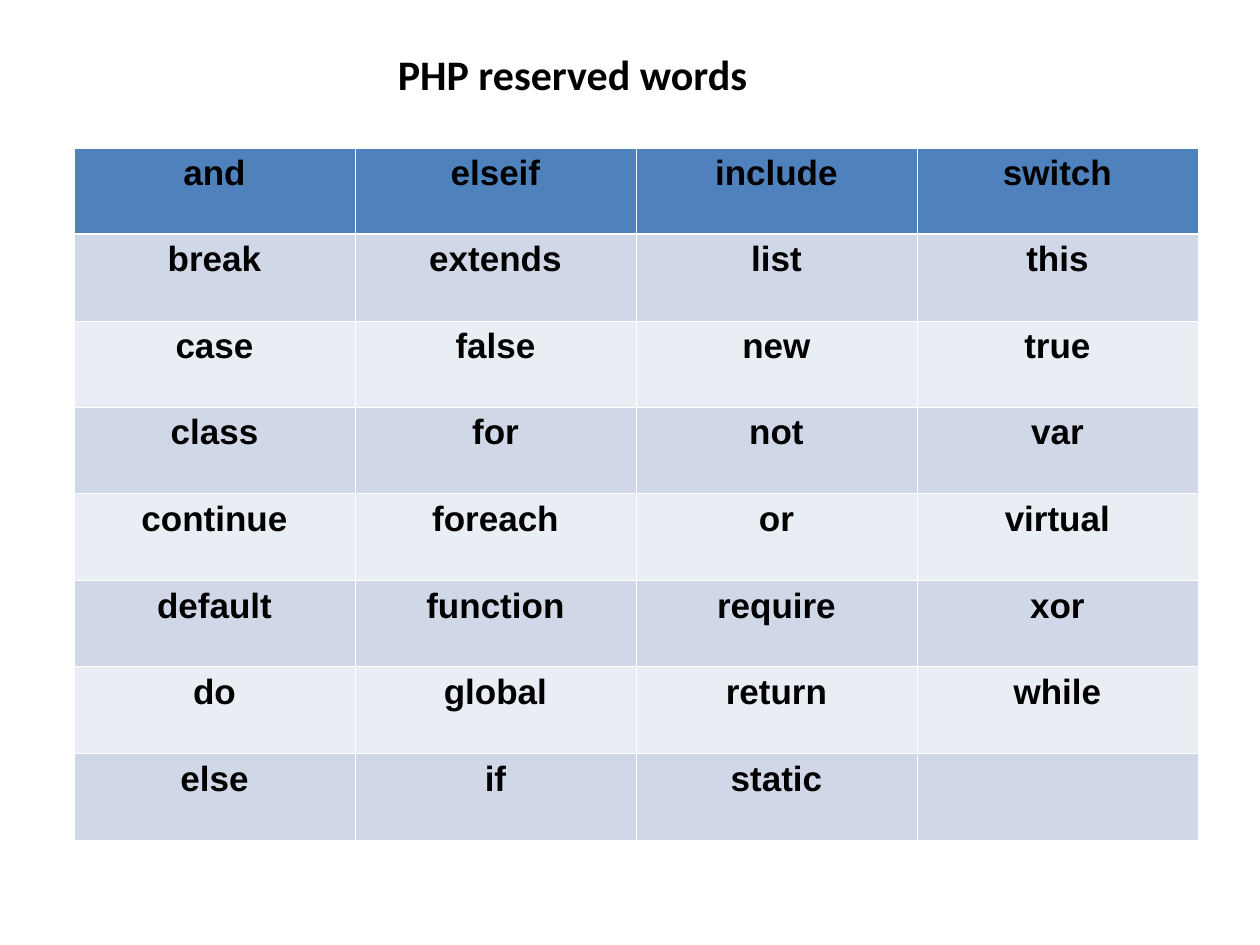
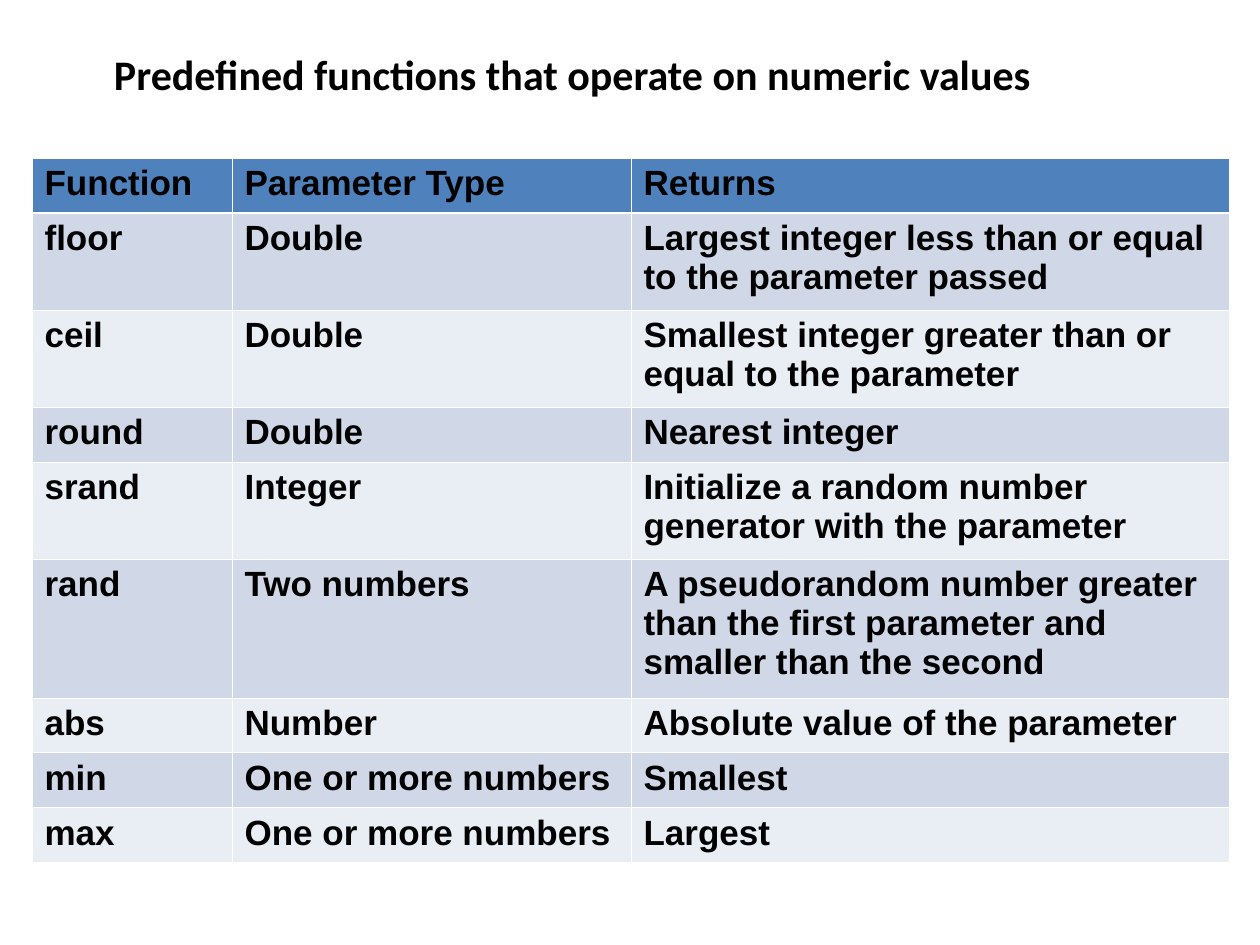
from lxml.etree import SubElement
from pptx import Presentation
from pptx.dml.color import RGBColor
from pptx.enum.text import MSO_ANCHOR, MSO_AUTO_SIZE, PP_ALIGN
from pptx.oxml.ns import qn
from pptx.util import Emu, Pt

HUES = {"text": "000000", "head": "4F81BD", "odd": "D0D8E8",
        "even": "E9EDF4", "line": "FFFFFF"}
THIN, THICK = Pt(0.45), Pt(1.47)


def px(count):
    """Turn px, 126 to the inch, into EMU."""
    return Emu(round(count * 914400 / 126))


def add_text(para, text, font, size, align):
    para.alignment = align
    run = para.add_run()
    run.text = text
    run.font.name = font
    run.font.size = Pt(size)
    run.font.bold = True
    run.font.color.rgb = RGBColor.from_string(HUES["text"])


# Reserved words run down the columns
words = [
    "and break case class continue default do else".split(),
    "elseif extends false for foreach function global if".split(),
    "include list new not or require return static".split(),
    "switch this true var virtual xor while".split() + [""],
]
word_rows = list(zip(*words))
word_tall = 693
word_highs = [word_tall * (i + 1) // 8 - word_tall * i // 8 for i in range(8)]

func_rows = [
    ("Function", "Parameter Type", "Returns"),
    ("floor", "Double",
     "Largest integer less than or equal to the parameter passed"),
    ("ceil", "Double",
     "Smallest integer greater than or equal to the parameter"),
    ("round", "Double", "Nearest integer"),
    ("srand", "Integer",
     "Initialize a random number generator with the parameter"),
    ("rand", "Two numbers",
     "A pseudorandom number greater than the first parameter "
     "and smaller than the second"),
    ("abs", "Number", "Absolute value of the parameter"),
    ("min", "One or more numbers", "Smallest"),
    ("max", "One or more numbers", "Largest"),
]
func_highs = [55, 97, 97, 55, 97, 139, 55, 55, 55]

# Title, table left and top, column widths, row heights, alignment, rows
pages = [
    ("PHP reserved words", 74, 148, [281] * 4, word_highs,
     PP_ALIGN.CENTER, word_rows),
    ("Predefined functions that operate on numeric values", 32, 158,
     [200, 399, 598], func_highs, PP_ALIGN.LEFT, func_rows),
]

deck = Presentation()
deck.slide_width, deck.slide_height = px(1260), px(945)

for name, left, top, wides, highs, align, rows in pages:
    slide = deck.slides.add_slide(deck.slide_layouts[5])

    title = slide.shapes.title
    title.left, title.top = px(42), px(42)
    title.width, title.height = px(1061), px(63)
    frame = title.text_frame
    frame.word_wrap = True
    frame.auto_size = MSO_AUTO_SIZE.SHAPE_TO_FIT_TEXT
    frame.vertical_anchor = MSO_ANCHOR.TOP
    add_text(frame.paragraphs[0], name, "Calibri", 24, PP_ALIGN.CENTER)

    table = slide.shapes.add_table(
        len(rows), len(wides), px(left), px(top),
        px(sum(wides)), px(sum(highs))).table
    for col, wide in zip(table.columns, wides):
        col.width = px(wide)
    for row, high in zip(table.rows, highs):
        row.height = px(high)

    for i, row in enumerate(rows):
        band = "head" if i == 0 else "odd" if i % 2 else "even"
        edges = {"lnL": THIN, "lnR": THIN,
                 "lnT": THICK if i == 1 else THIN,
                 "lnB": THICK if i == 0 else THIN}
        for j, text in enumerate(row):
            cell = table.cell(i, j)
            props = cell._tc.get_or_add_tcPr()
            for edge, thick in edges.items():
                line = SubElement(props, qn("a:" + edge), w=str(int(thick)))
                fill = SubElement(line, qn("a:solidFill"))
                SubElement(fill, qn("a:srgbClr"), val=HUES["line"])
            cell.fill.solid()
            cell.fill.fore_color.rgb = RGBColor.from_string(HUES[band])
            if text:
                add_text(cell.text_frame.paragraphs[0], text,
                         "Arial", 20, align)

deck.save("out.pptx")
